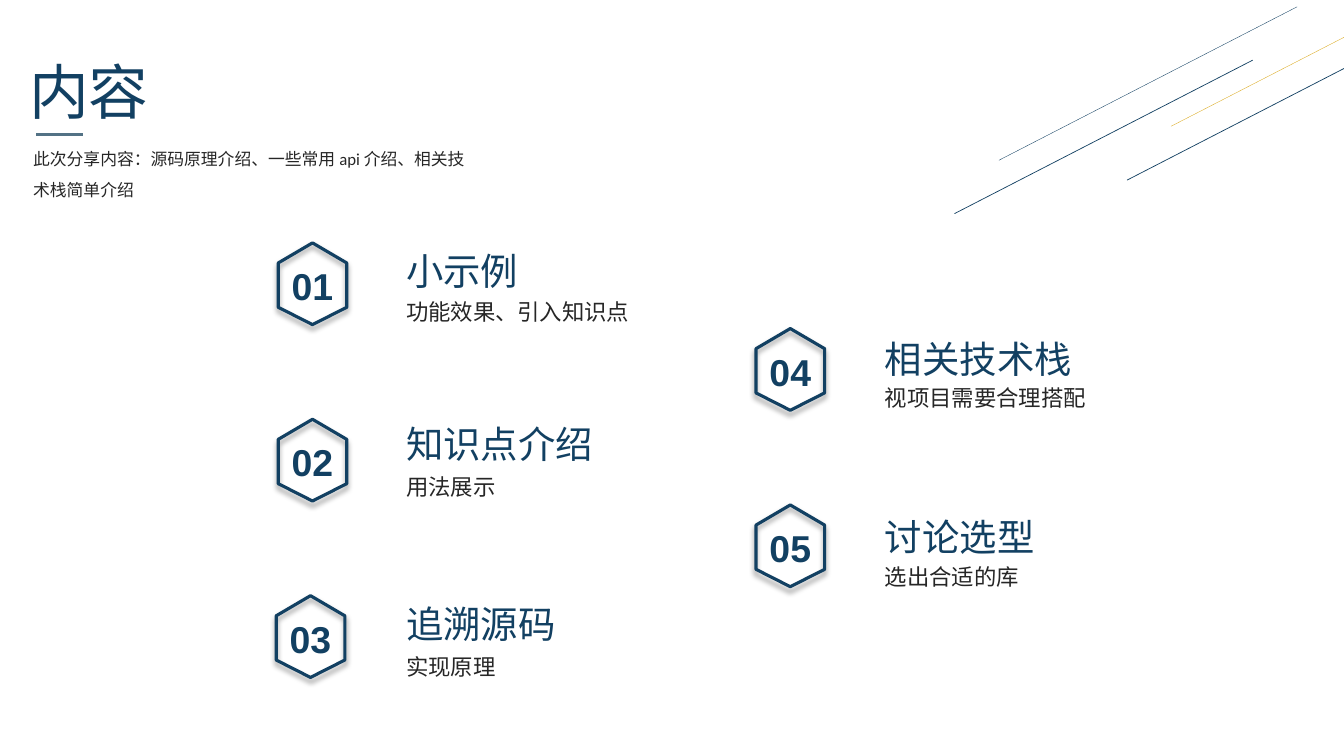
from dataclasses import dataclass

from lxml.etree import SubElement as Sub
from pptx import Presentation
from pptx.dml.color import RGBColor as Rgb
from pptx.enum.shapes import MSO_CONNECTOR as Conn
from pptx.enum.text import MSO_AUTO_SIZE as Auto, PP_ALIGN as Align
from pptx.oxml.ns import qn
from pptx.shapes.shapetree import GroupShapes, SlideShapes
from pptx.util import Pt

HUES = {"navy": "124062", "slate": "537285", "ink": "262626", "gold": "DCAA1F"}
CJK = "Noto Sans CJK SC"
Tree = SlideShapes | GroupShapes


@dataclass
class Style:
    font: str
    size: float
    hue: str
    bold: bool = False
    align: Align = Align.LEFT
    wrap: bool = True
    space: float = 1.0


@dataclass
class Box:
    x: float
    y: float
    w: float
    h: float


@dataclass
class Topic:
    num: str
    head: str
    note: str
    x: float
    y: float
    text_x: float
    head_y: float
    note_y: float


@dataclass
class Line:
    x: float
    y: float
    dx: float
    dy: float
    hue: str
    width: float


TITLE = Style("Calibri", 42.7, "navy")
INTRO = Style("Calibri", 12, "ink", space=1.5)
NUM = Style("Arial", 26.7, "navy", bold=True, align=Align.CENTER, wrap=False)
HEAD = Style(CJK, 26.7, "navy")
NOTE = Style(CJK, 16, "ink", wrap=False)

LEFT, RIGHT = 198.7, 540
LEFT_TEXT, RIGHT_TEXT = 283, 625
TOP, DROP, STEP = 173.5, 61.2, 126
TOPICS = [
    Topic("01", "小示例", "功能效果、引入知识点", LEFT, TOP, LEFT_TEXT, 173.5, 209.5),
    Topic("02", "知识点介绍", "用法展示", LEFT, TOP + STEP, LEFT_TEXT, 297.4, 334.4),
    Topic("03", "追溯源码", "实现原理", LEFT - 1.4, TOP + 2 * STEP, LEFT_TEXT, 425.7, 463),
    Topic("04", "相关技术栈", "视项目需要合理搭配", RIGHT, TOP + DROP, RIGHT_TEXT, 236.2, 270.8),
    Topic("05", "讨论选型", "选出合适的库", RIGHT, TOP + DROP + STEP, RIGHT_TEXT, 363.6, 398.9),
]

RUN, RISE = 213, -109.6
LINES = [
    Line(26, 95.8, 33, 0, "slate", 2.25),
    Line(681.8, 152.6, RUN, RISE, "navy", 0.5),
    Line(713.5, 114.5, RUN, RISE, "navy", 0.25),
    Line(805, 128.7, RUN, RISE, "navy", 0.5),
    Line(836.5, 90.2, RUN, RISE, "gold", 0.25),
]

HEX = [(24.5, 0), (49, 14.4), (49, 46), (24.5, 58.4), (0, 46), (0, 14.4)]


def color(name: str) -> Rgb:
    return Rgb.from_string(HUES[name])


def add_text(tree: Tree, text: str, box: Box, style: Style) -> None:
    shape = tree.add_textbox(Pt(box.x), Pt(box.y), Pt(box.w), Pt(box.h))
    frame = shape.text_frame
    frame.word_wrap = style.wrap
    frame.auto_size = Auto.SHAPE_TO_FIT_TEXT
    para = frame.paragraphs[0]
    para.alignment = style.align
    para.line_spacing = style.space
    run = para.add_run()
    run.text = text
    font = run.font
    font.name, font.size, font.bold = style.font, Pt(style.size), style.bold
    font.color.rgb = color(style.hue)
    Sub(font._element, qn("a:ea"), typeface=CJK)


def add_line(tree: Tree, line: Line) -> None:
    link = tree.add_connector(
        Conn.STRAIGHT, Pt(line.x), Pt(line.y), Pt(line.x + line.dx), Pt(line.y + line.dy)
    )
    link.line.color.rgb = color(line.hue)
    link.line.width = Pt(line.width)
    Sub(link._element.spPr, qn("a:effectLst"))


def add_hex(tree: Tree, x: float, y: float) -> None:
    """Draw an unfilled hexagon with a soft shadow below it."""
    spots = [(Pt(x + dx), Pt(y + dy)) for dx, dy in HEX]
    pen = tree.build_freeform(*spots[0])
    pen.add_line_segments(spots[1:], close=True)
    shape = pen.convert_to_shape()
    shape.fill.background()
    shape.line.color.rgb = color("navy")
    shape.line.width = Pt(2.25)
    shape.shadow.inherit = False
    glow = Sub(
        shape._element.spPr.find(qn("a:effectLst")), qn("a:outerShdw"),
        blurRad=str(Pt(4)), dist=str(Pt(3)), dir="5400000", rotWithShape="0",
    )
    tone = Sub(glow, qn("a:srgbClr"), val="000000")
    Sub(tone, qn("a:alpha"), val="40000")


def add_topic(tree: Tree, topic: Topic) -> None:
    badge = tree.add_group_shape().shapes
    add_hex(badge, topic.x, topic.y)
    add_text(badge, topic.num, Box(topic.x + 2.2, topic.y + 10.8, 44.6, 39.6), NUM)
    label = tree.add_group_shape().shapes
    add_text(label, topic.head, Box(topic.text_x, topic.head_y, 188, 39.6), HEAD)
    wide = len(topic.note) * NOTE.size + 15
    add_text(label, topic.note, Box(topic.text_x, topic.note_y, wide, 26.6), NOTE)


def main() -> None:
    deck = Presentation()
    deck.slide_width, deck.slide_height = Pt(960), Pt(540)
    tree = deck.slides.add_slide(deck.slide_layouts[6]).shapes
    add_text(tree, "内容", Box(13.7, 35.3, 263.5, 59), TITLE)
    add_text(
        tree, "此次分享内容：源码原理介绍、一些常用 api 介绍、相关技术栈简单介绍",
        Box(16.6, 95.8, 332, 51), INTRO,
    )
    for line in LINES:
        add_line(tree, line)
    for topic in TOPICS:
        add_topic(tree, topic)
    deck.save("out.pptx")


if __name__ == "__main__":
    main()
